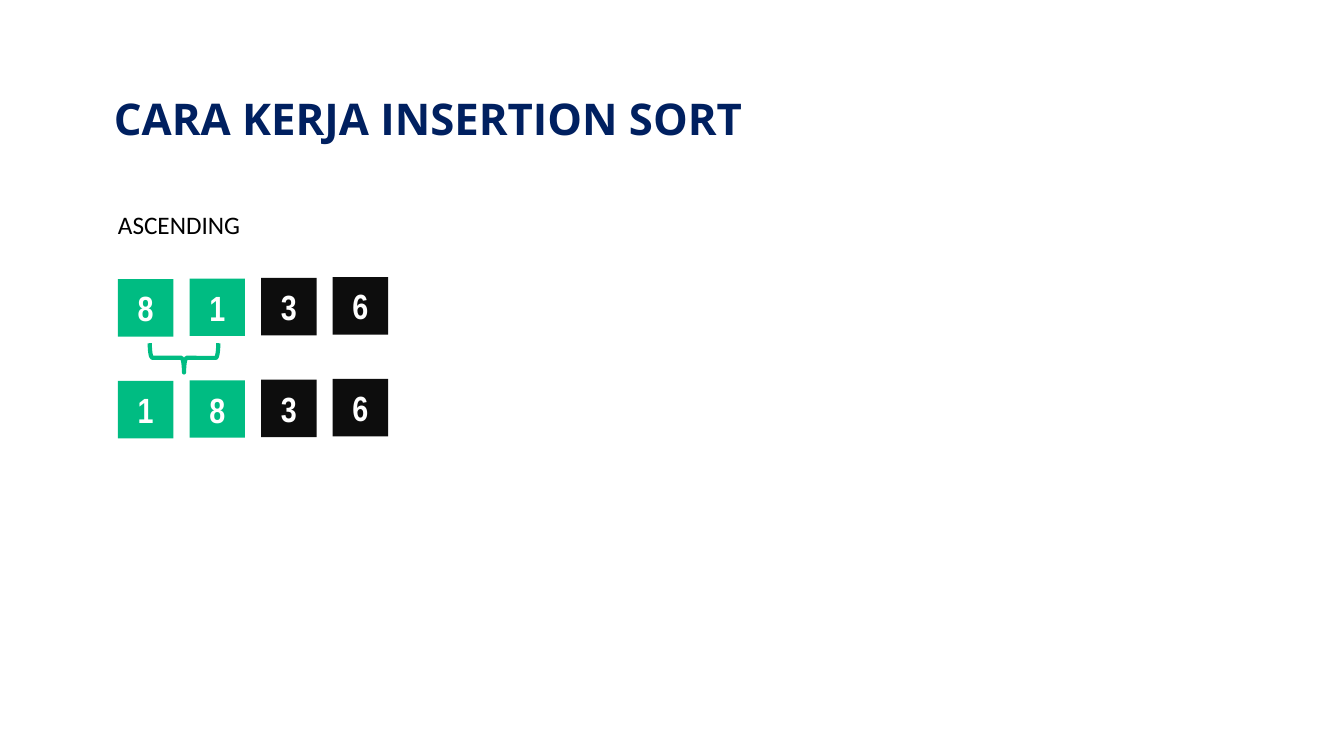
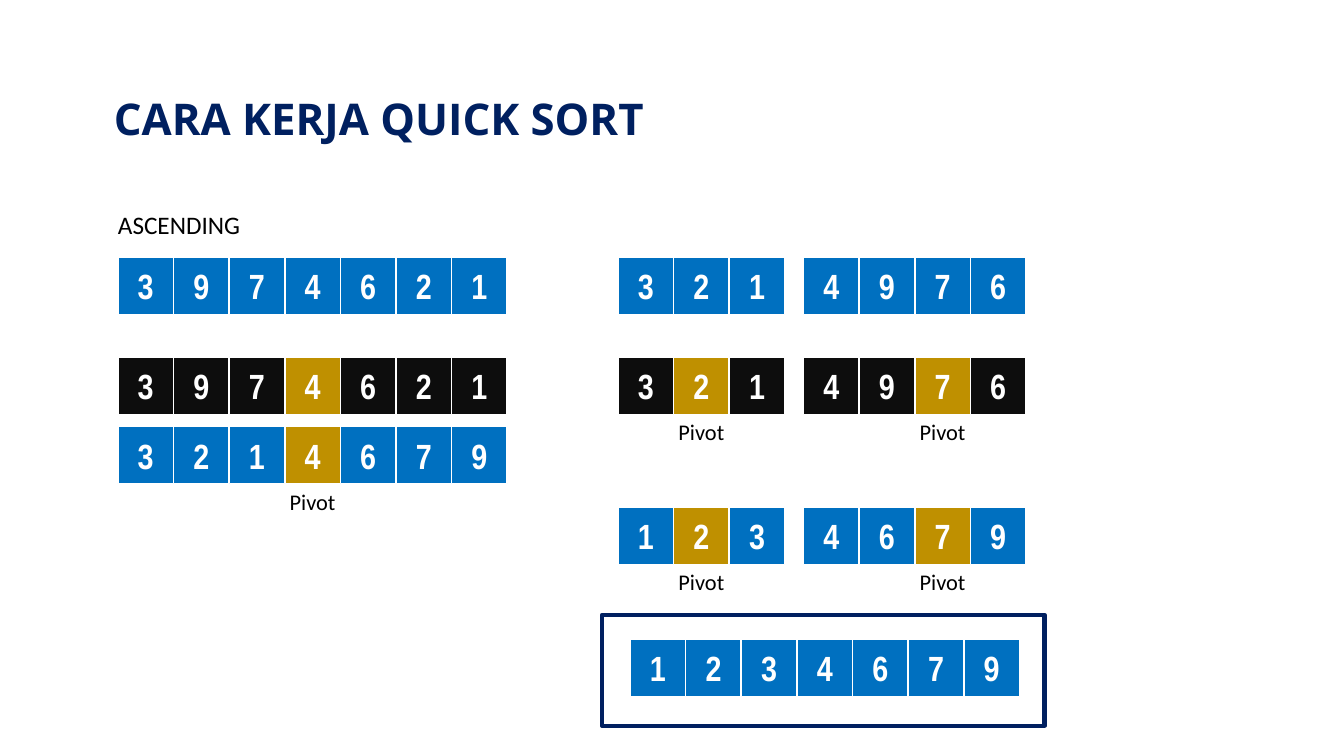
from pptx import Presentation, util as u
from pptx.dml.color import RGBColor
from pptx.enum import shapes, text

NAVY, BLACK, WHITE = "002060", "000000", "FFFFFF"
GREEN, BLUE, GOLD, DARK = "00BC82", "0070C0", "BF9000", "0D0D0D"

TITLE = {"size": u.Pt(31.2), "name": "Open Sans", "bold": True}
ORDER = {"size": u.Pt(18), "name": "Calibri"}
DIGIT = {"size": u.Pt(25), "name": "Arial Narrow", "bold": True}
LABEL = {"size": u.Pt(16), "name": "Calibri"}

LEFT = 1.17
CELL_W, CELL_H = 0.55, 0.57
SPACED = 0.71        # distance between cells that stand apart
JOINED = 3.31 / 6    # distance between cells that touch
RISE = 0.02 / 3      # each spaced cell sits a little higher than the last
LABEL_W, LABEL_H = 1.1, 0.37


def color(value):
    return RGBColor.from_string(value)


def write(shape, words, style, ink, align=text.PP_ALIGN.LEFT,
          anchor=text.MSO_ANCHOR.TOP, spacing=None):
    frame = shape.text_frame
    frame.word_wrap = True
    frame.vertical_anchor = anchor
    para = frame.paragraphs[0]
    para.alignment = align
    para.line_spacing = spacing
    span = para.add_run()
    span.text = words
    for key, value in style.items():
        setattr(span.font, key, value)
    span.font.color.rgb = color(ink)
    return frame


def add_text(page, area, words, style, ink=BLACK, insets=None, **layout):
    """insets holds the horizontal and the vertical margin."""
    box = page.shapes.add_textbox(*map(u.Inches, area))
    frame = write(box, words, style, ink, **layout)
    if insets:
        across, down = map(u.Inches, insets)
        frame.margin_left = frame.margin_right = across
        frame.margin_top = frame.margin_bottom = down


def add_shape(page, kind, area, fill=None, line=None, width=1):
    shape = page.shapes.add_shape(kind, *map(u.Inches, area))
    shape.shadow.inherit = False
    if fill:
        shape.fill.solid()
        shape.fill.fore_color.rgb = color(fill)
    else:
        shape.fill.background()
    if line:
        shape.line.color.rgb = color(line)
        shape.line.width = u.Pt(width)
    else:
        shape.line.fill.background()
    return shape


def add_cell(page, left, top, digit, fill, line=None):
    cell = add_shape(page, shapes.MSO_SHAPE.RECTANGLE,
                     (left, top, CELL_W, CELL_H), fill, line)
    write(cell, digit, DIGIT, WHITE, text.PP_ALIGN.CENTER,
          text.MSO_ANCHOR.MIDDLE)


def add_spaced_row(page, top, digits, sorted_count):
    for index, digit in enumerate(digits):
        add_cell(page, LEFT + index * SPACED, top - index * RISE, digit,
                 GREEN if index < sorted_count else DARK)


def add_joined_row(page, left, top, digits, fill, pivot=None, labelled=False):
    """Draw touching cells; pivot is the index of the gold one."""
    for index, digit in enumerate(digits):
        add_cell(page, left + index * JOINED, top, digit,
                 GOLD if index == pivot else fill, WHITE)
    if labelled:
        middle = left + pivot * JOINED + CELL_W / 2
        add_text(page, (middle - LABEL_W / 2, top + CELL_H - 0.01, LABEL_W, LABEL_H),
                 "Pivot", LABEL, align=text.PP_ALIGN.CENTER)


def add_page(deck, title):
    page = deck.slides.add_slide(deck.slide_layouts[6])
    add_text(page, (1, 0.84, 11.33, 0.67), title, TITLE, NAVY, (0.13, 0.07),
             anchor=text.MSO_ANCHOR.MIDDLE)
    add_text(page, (LEFT, 1.97, 8.23, 0.46), "ASCENDING", ORDER,
             insets=(0, 0.05), spacing=1.2)
    return page


def add_insertion_sort(deck):
    page = add_page(deck, "CARA KERJA INSERTION SORT")
    add_spaced_row(page, 2.77, "8136", 2)
    brace = add_shape(page, shapes.MSO_SHAPE.RIGHT_BRACE,
                      (1.68, 3.21, 0.29, 0.68), line=GREEN, width=3)
    brace.rotation = 90
    add_spaced_row(page, 3.78, "1836", 2)


def add_quick_sort(deck):
    page = add_page(deck, "CARA KERJA QUICK SORT")
    low, high, result = 6.13, 7.97, 6.25
    first, second, third, fourth, last = 2.55, 3.54, 4.23, 5.03, 6.34
    add_shape(page, shapes.MSO_SHAPE.RECTANGLE, (5.97, 6.1, 4.39, 1.1),
              line=NAVY, width=3)
    rows = [
        (LEFT, first, "3974621", BLUE),
        (LEFT, second, "3974621", DARK, 3),
        (LEFT, third, "3214679", BLUE, 3, True),
        (low, first, "321", BLUE),
        (high, first, "4976", BLUE),
        (low, second, "321", DARK, 1, True),
        (high, second, "4976", DARK, 2, True),
        (low, fourth, "123", BLUE, 1, True),
        (high, fourth, "4679", BLUE, 2, True),
        (result, last, "1234679", BLUE),
    ]
    for row in rows:
        add_joined_row(page, *row)


def main():
    deck = Presentation()
    deck.slide_width, deck.slide_height = u.Inches(13.33), u.Inches(7.5)
    add_insertion_sort(deck)
    add_quick_sort(deck)
    deck.save("out.pptx")


if __name__ == "__main__":
    main()
